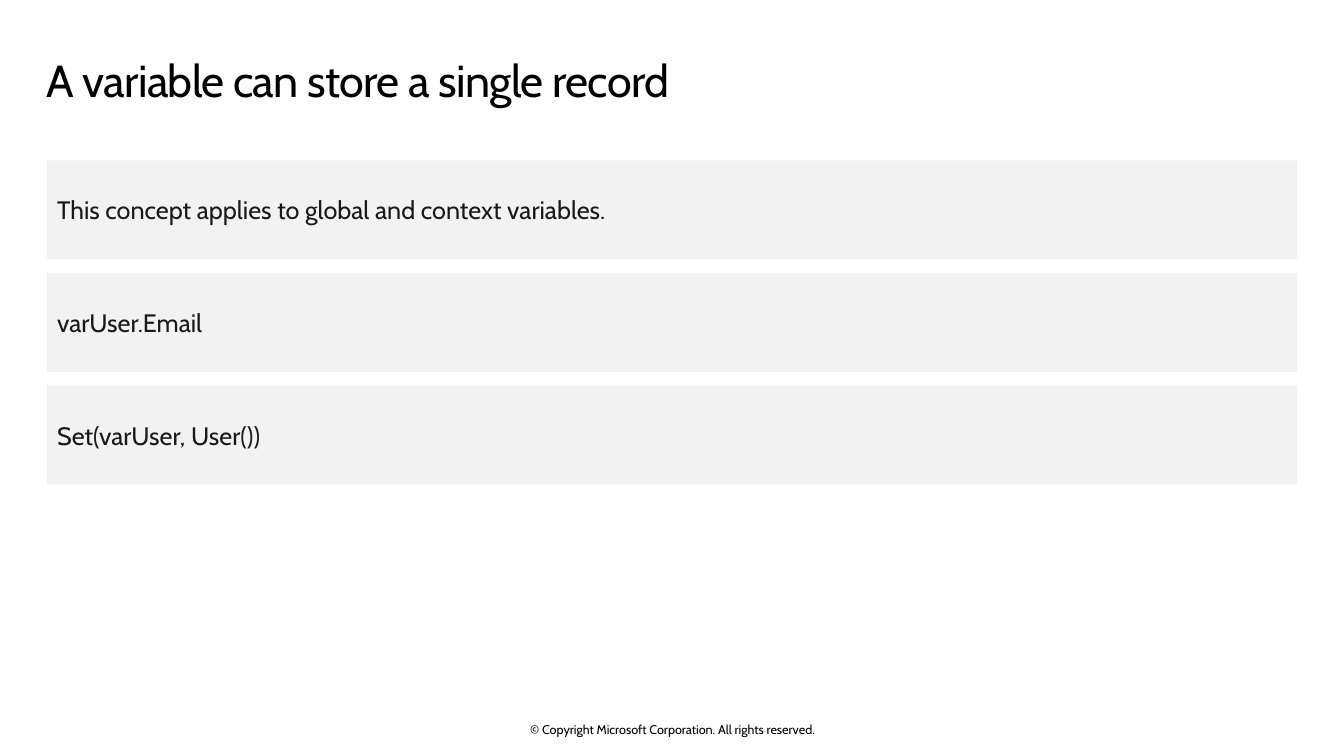
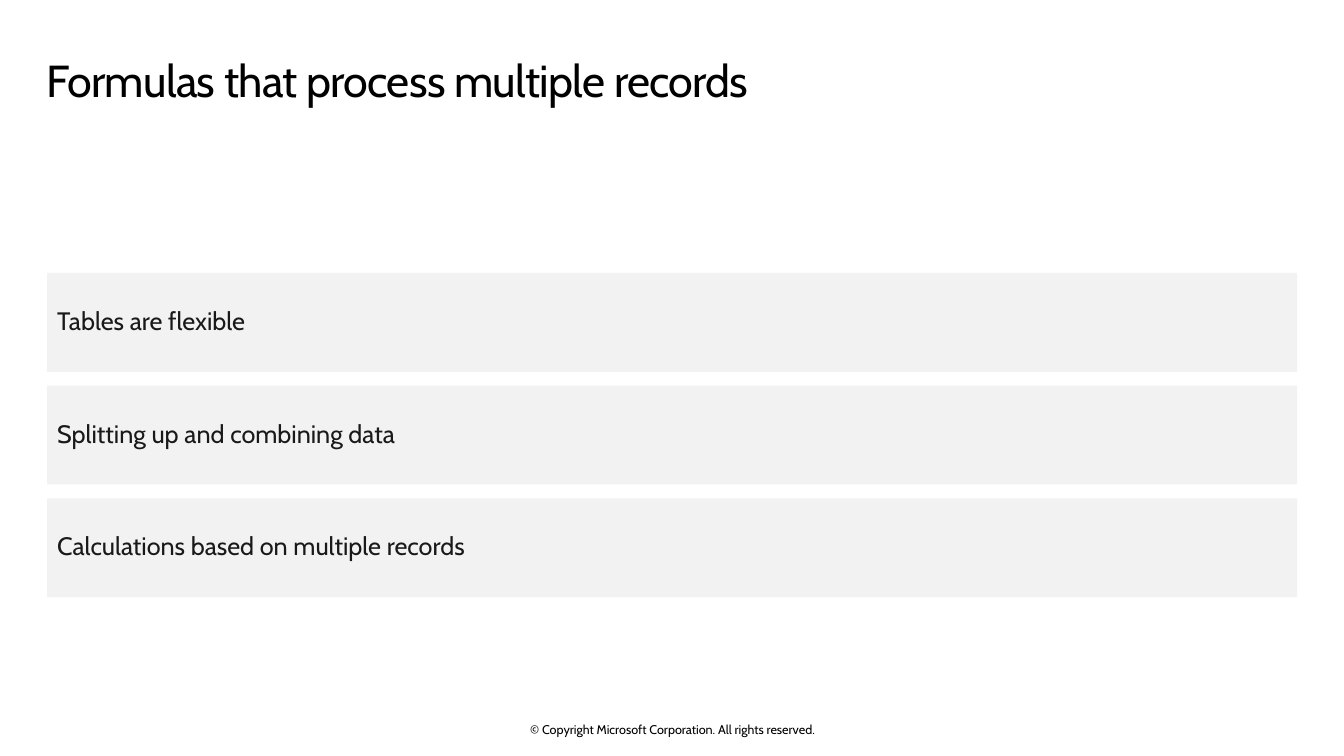
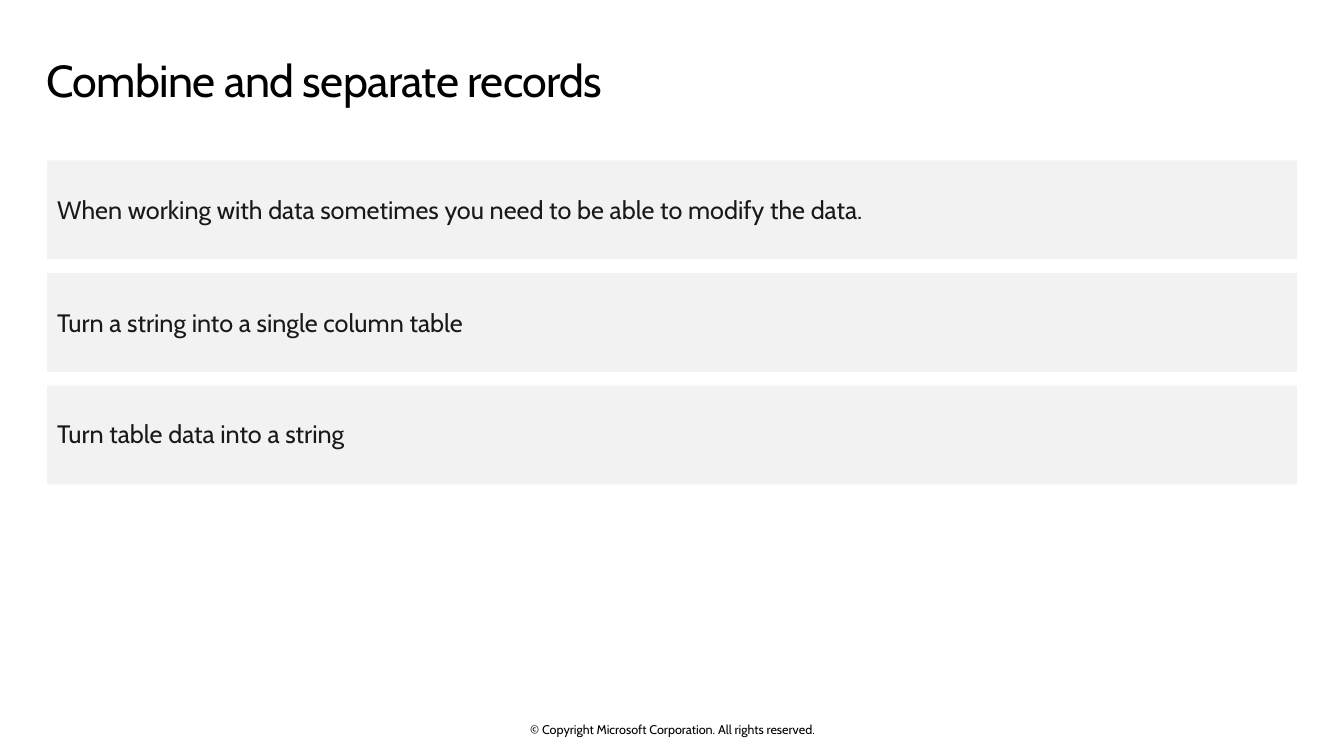
import pptx
import pptx.dml.color
import pptx.enum.shapes
import pptx.enum.text
import pptx.util
from pptx.util import Cm

COLOURS = {"title": "000000", "footer": "000000", "body": "191919", "band": "F2F2F2"}
FONT = "Cabin"
ALIGN = pptx.enum.text.PP_ALIGN
ANCHOR = pptx.enum.text.MSO_ANCHOR
FOOTER = "© Copyright Microsoft Corporation. All rights reserved."

BAND_LEFT, BAND_TOP, BAND_WIDTH, BAND_HEIGHT = 1.19, 4.04, 31.5, 2.49
BAND_PITCH = 2.84

SLIDES = [
    ("A variable can store a single record", 0, [
        ("This concept applies to global and context variables.", 1.0),
        ("varUser.Email", 1.0),
        ("Set(varUser, User())", 1.0),
    ]),
    ("Formulas that process multiple records", 1, [
        ("Tables are flexible", 0.9),
        ("Splitting up and combining data", 0.9),
        ("Calculations based on multiple records", 0.9),
    ]),
    ("Combine and separate records", 0, [
        ("When working with data sometimes you need to be able to modify the data.", 1.0),
        ("Turn a string into a single column table", 1.0),
        ("Turn table data into a string", 0.9),
    ]),
]


def rgb(name):
    return pptx.dml.color.RGBColor.from_string(COLOURS[name])


def write_text(box, text, *, size, colour, align=ALIGN.LEFT, anchor=ANCHOR.MIDDLE,
               insets=(0, 0, 0, 0), line_spacing=1.0, tracking=None):
    frame = box.text_frame
    frame.word_wrap = True
    frame.auto_size = pptx.enum.text.MSO_AUTO_SIZE.NONE
    frame.vertical_anchor = anchor
    frame.margin_left, frame.margin_top, frame.margin_right, frame.margin_bottom = map(Cm, insets)
    para = frame.paragraphs[0]
    para.alignment = align
    para.line_spacing = line_spacing
    span = para.add_run()
    span.text = text
    span.font.name = FONT
    span.font.size = pptx.util.Pt(size)
    span.font.color.rgb = rgb(colour)
    if tracking is not None:
        span.font._element.set("spc", str(round(tracking * 100)))


class Builder:
    def __init__(self):
        self.deck = pptx.Presentation()
        self.deck.slide_width = Cm(33.87)
        self.deck.slide_height = Cm(19.05)
        self.page = None

    def add_page(self, title):
        self.page = self.deck.slides.add_slide(self.deck.slide_layouts[5])
        self.add_footer()
        self.set_title(title)

    def set_title(self, text):
        box = self.page.shapes.title
        box.left, box.top, box.width, box.height = Cm(1.17), Cm(1.22), Cm(31.5), Cm(1.88)
        write_text(box, text, size=32, colour="title", anchor=ANCHOR.TOP,
                   insets=(0, 0.25, 0.41, 0.25), line_spacing=0.9, tracking=-0.5)

    def add_footer(self):
        box = self.page.shapes.add_textbox(Cm(11.23), Cm(18.19), Cm(11.43), Cm(0.38))
        write_text(box, FOOTER, size=9, colour="footer", align=ALIGN.CENTER)

    def add_band(self, row, text, line_spacing):
        box = self.page.shapes.add_shape(
            pptx.enum.shapes.MSO_SHAPE.RECTANGLE, Cm(BAND_LEFT),
            Cm(BAND_TOP + row * BAND_PITCH), Cm(BAND_WIDTH), Cm(BAND_HEIGHT))
        box.shadow.inherit = False
        box.fill.solid()
        box.fill.fore_color.rgb = rgb("band")
        box.line.fill.background()
        write_text(box, text, size=18, colour="body",
                   insets=(0.25, 0.25, 0.25, 0.25), line_spacing=line_spacing)


def main():
    builder = Builder()
    for title, first_row, bands in SLIDES:
        builder.add_page(title)
        for row, (text, line_spacing) in enumerate(bands, first_row):
            builder.add_band(row, text, line_spacing)
    builder.deck.save("out.pptx")


if __name__ == "__main__":
    main()
